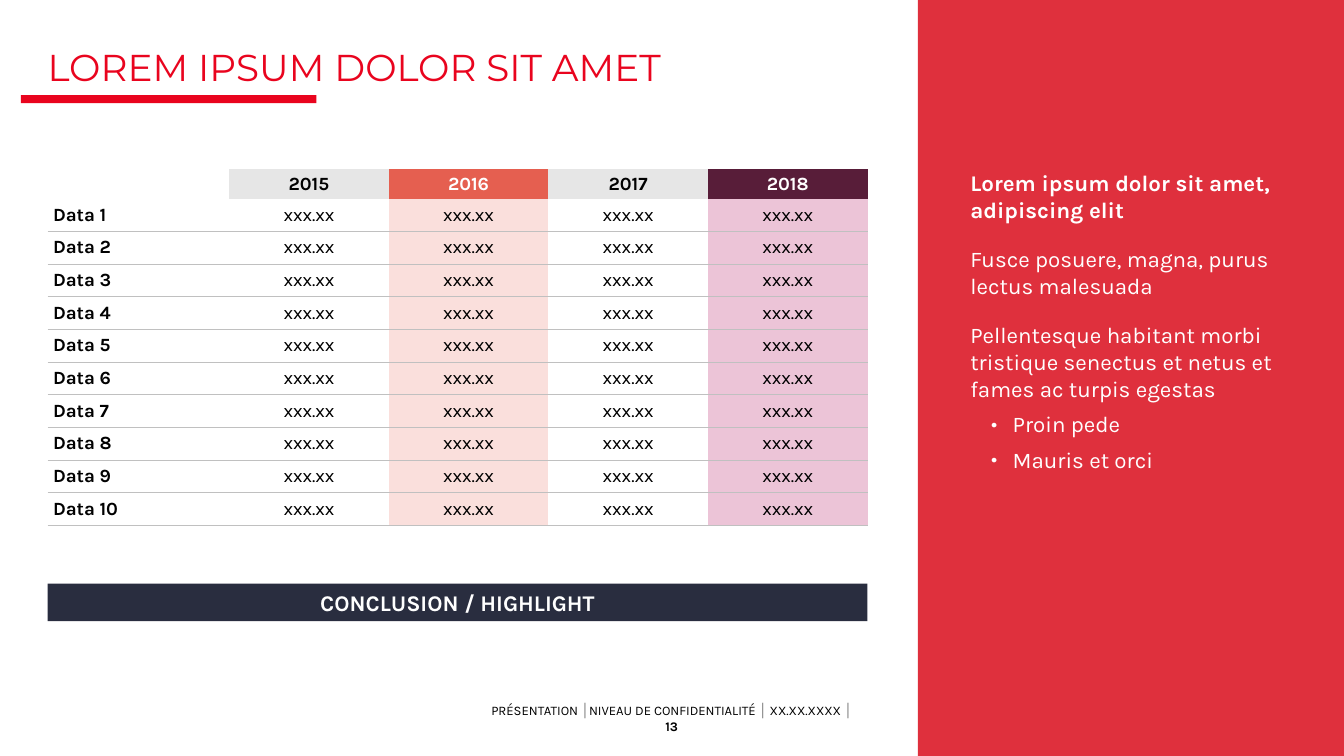
from dataclasses import dataclass

from lxml.etree import SubElement
from pptx import Presentation
from pptx.dml.color import RGBColor
from pptx.enum.shapes import MSO_SHAPE
from pptx.enum.text import MSO_ANCHOR, PP_ALIGN
from pptx.oxml import parse_xml
from pptx.oxml.ns import nsdecls, qn
from pptx.util import Inches, Pt


@dataclass(frozen=True)
class Theme:
    title_font: str = "Montserrat"
    body_font: str = "Karla"
    title_size: float = 20
    body_size: float = 12
    table_size: float = 10
    footer_size: float = 7
    accent: str = "E9041E"
    panel: str = "DF303D"
    banner: str = "292D3F"
    text: str = "010101"
    white: str = "FFFFFF"
    separator: str = "808080"
    rule: str = "C0C0C0"


THEME = Theme()
SLIDE_WIDTH = Inches(10)
SLIDE_HEIGHT = SLIDE_WIDTH * 9 // 16
COLUMNS = 100  # square grid: one unit is a hundredth of the slide's width
ROWS = COLUMNS * SLIDE_HEIGHT / SLIDE_WIDTH
CONTENT_LEFT, CONTENT_TOP, CONTENT_WIDTH = 3.55, 12.6, 61
PANEL_LEFT = 68.3
NO_STYLE = "{2D5ABB26-0587-4C30-8999-92F81FD0307C}"

# Year, header fill, header text colour, column fill
YEARS = [
    ("2015", "E6E6E6", THEME.text, None),
    ("2016", "E55F50", THEME.white, "FADFDC"),
    ("2017", "E6E6E6", THEME.text, None),
    ("2018", "581D39", THEME.white, "ECC4D7"),
]
ROW_LABELS = [f"Data {number}" for number in range(1, 11)]
PANEL_TEXT = [
    "Lorem ipsum dolor sit amet, adipiscing elit",
    "Fusce posuere, magna, purus lectus malesuada",
    "Pellentesque habitant morbi tristique senectus et netus et fames ac turpis egestas",
]
PANEL_BULLETS = ["Proin pede", "Mauris et orci"]
FOOTER_PARTS = ["PRÉSENTATION ", "│", "NIVEAU DE CONFIDENTIALITÉ ", "│ ", "XX.XX.XXXX ", "│ ", "13"]


def grid(units):
    return round(units * SLIDE_WIDTH / COLUMNS)


def area(left, top, width, height):
    return [grid(units) for units in (left, top, width, height)]


def style_paragraph(paragraph, size, color, bold=False, font=THEME.body_font, align=PP_ALIGN.LEFT):
    paragraph.alignment = align
    paragraph.font.name = font
    paragraph.font.size = Pt(size)
    paragraph.font.bold = bold
    paragraph.font.color.rgb = RGBColor.from_string(color)


def set_frame(frame, anchor, margin=0):
    frame.word_wrap = True
    frame.vertical_anchor = anchor
    frame.margin_left = frame.margin_right = grid(margin)
    frame.margin_top = frame.margin_bottom = grid(margin)


def add_block(slide, place, color):
    shape = slide.shapes.add_shape(MSO_SHAPE.RECTANGLE, *place)
    shape.shadow.inherit = False
    shape.fill.solid()
    shape.fill.fore_color.rgb = RGBColor.from_string(color)
    shape.line.fill.background()
    return shape


def add_text_box(slide, place, anchor):
    frame = slide.shapes.add_textbox(*place).text_frame
    set_frame(frame, anchor)
    return frame


def set_title(slide, text):
    title = slide.shapes.title
    title.left, title.top, title.width, title.height = area(3.55, 3.65, CONTENT_WIDTH, 2.9)
    set_frame(title.text_frame, MSO_ANCHOR.BOTTOM)
    title.text_frame.text = text
    paragraph = title.text_frame.paragraphs[0]
    style_paragraph(paragraph, THEME.title_size, THEME.accent, font=THEME.title_font)
    paragraph.line_spacing = 0.75


def add_bottom_rule(cell):
    cell_properties = cell._tc.get_or_add_tcPr()
    cell_properties.insert(0, parse_xml(
        f'<a:lnB {nsdecls("a")} w="{Pt(0.5)}"><a:solidFill>'
        f'<a:srgbClr val="{THEME.rule}"/></a:solidFill></a:lnB>'))


def fill_cell(cell, text, fill=None, color=THEME.text, bold=False, align=PP_ALIGN.CENTER):
    cell.text = text
    cell.vertical_anchor = MSO_ANCHOR.MIDDLE
    cell.margin_left = cell.margin_right = grid(0.4)
    cell.margin_top = cell.margin_bottom = grid(0.25)
    style_paragraph(cell.text_frame.paragraphs[0], THEME.table_size, color, bold, align=align)
    if fill:
        cell.fill.solid()
        cell.fill.fore_color.rgb = RGBColor.from_string(fill)
    else:
        cell.fill.background()


def add_data_table(slide):
    header_height, row_height, label_width = 2.2, 2.43, 13.5
    height = header_height + row_height * len(ROW_LABELS)
    table = slide.shapes.add_table(
        len(ROW_LABELS) + 1, len(YEARS) + 1,
        *area(CONTENT_LEFT, CONTENT_TOP, CONTENT_WIDTH, height)).table
    table.first_row = table.horz_banding = False
    table._tbl.tblPr.find(qn("a:tableStyleId")).text = NO_STYLE
    for index, row in enumerate(table.rows):
        row.height = grid(row_height if index else header_height)
    for index, column in enumerate(table.columns):
        column.width = grid((CONTENT_WIDTH - label_width) / len(YEARS) if index else label_width)

    fill_cell(table.cell(0, 0), "")
    for column, (year, header_fill, header_color, column_fill) in enumerate(YEARS, 1):
        fill_cell(table.cell(0, column), year, header_fill, header_color, bold=True)
        for row in range(1, len(ROW_LABELS) + 1):
            fill_cell(table.cell(row, column), "xxx.xx", column_fill)
            add_bottom_rule(table.cell(row, column))
    for row, label in enumerate(ROW_LABELS, 1):
        fill_cell(table.cell(row, 0), label, bold=True, align=PP_ALIGN.LEFT)
        add_bottom_rule(table.cell(row, 0))


def add_bullet(paragraph):
    paragraph.level = 1
    paragraph.line_spacing = 0.9
    properties = paragraph._p.get_or_add_pPr()
    properties.set("marL", str(grid(3.15)))
    properties.set("indent", str(grid(-1.6)))
    font_properties = properties.find(qn("a:defRPr"))
    font_properties.addprevious(SubElement(properties, qn("a:buFont"), typeface=THEME.body_font))
    font_properties.addprevious(SubElement(properties, qn("a:buChar"), char="•"))


def add_side_panel(slide):
    add_block(slide, area(PANEL_LEFT, 0, COLUMNS - PANEL_LEFT, ROWS), THEME.panel)
    frame = add_text_box(slide, area(72.2, CONTENT_TOP, 24.3, 23.6), MSO_ANCHOR.TOP)
    for index, text in enumerate(PANEL_TEXT + PANEL_BULLETS):
        paragraph = frame.add_paragraph() if index else frame.paragraphs[0]
        paragraph.text = text
        style_paragraph(paragraph, THEME.body_size, THEME.white, bold=index == 0)
        is_bullet = index >= len(PANEL_TEXT)
        paragraph.space_before = Pt(6 if is_bullet else 12)
        if is_bullet:
            add_bullet(paragraph)


def add_conclusion(slide, text):
    banner = add_block(slide, area(CONTENT_LEFT, 43.43, CONTENT_WIDTH, 2.8), THEME.banner)
    set_frame(banner.text_frame, MSO_ANCHOR.MIDDLE, margin=0.4)
    banner.text_frame.text = text
    style_paragraph(banner.text_frame.paragraphs[0], THEME.body_size, THEME.white,
                    bold=True, align=PP_ALIGN.CENTER)


def add_footer(slide):
    frame = add_text_box(slide, area(36.42, 52.85, 27.1, 1.2), MSO_ANCHOR.MIDDLE)
    paragraph = frame.paragraphs[0]
    style_paragraph(paragraph, THEME.footer_size, THEME.text, align=PP_ALIGN.CENTER)
    for part in FOOTER_PARTS:
        run = paragraph.add_run()
        run.text = part
        if "│" in part:
            run.font.color.rgb = RGBColor.from_string(THEME.separator)
    run.font.bold = True  # page number


def main():
    presentation = Presentation()
    presentation.slide_width, presentation.slide_height = SLIDE_WIDTH, SLIDE_HEIGHT
    slide = presentation.slides.add_slide(presentation.slide_layouts.get_by_name("Title Only"))
    add_footer(slide)
    add_block(slide, area(1.55, 7.08, 22, 0.6), THEME.accent)
    set_title(slide, "LOREM IPSUM DOLOR SIT AMET")
    add_side_panel(slide)
    add_data_table(slide)
    add_conclusion(slide, "CONCLUSION / HIGHLIGHT")
    presentation.save("out.pptx")


if __name__ == "__main__":
    main()
